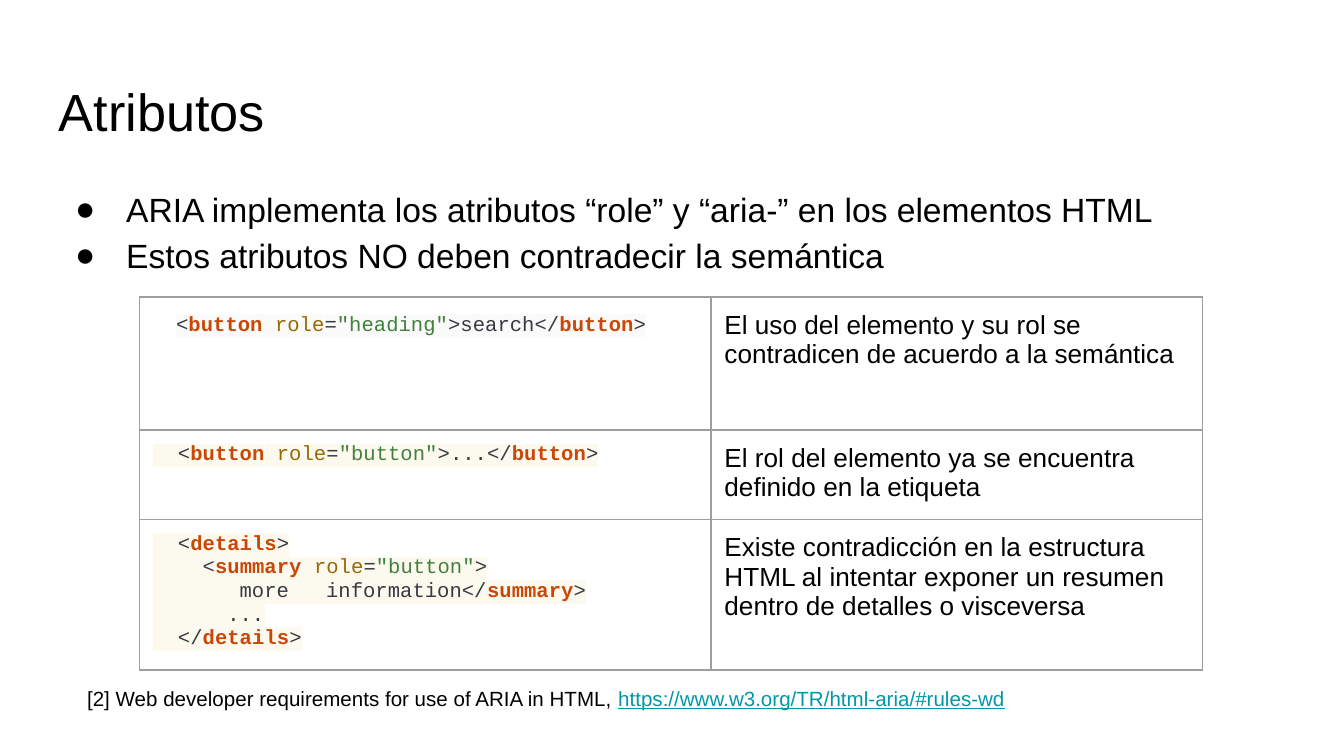
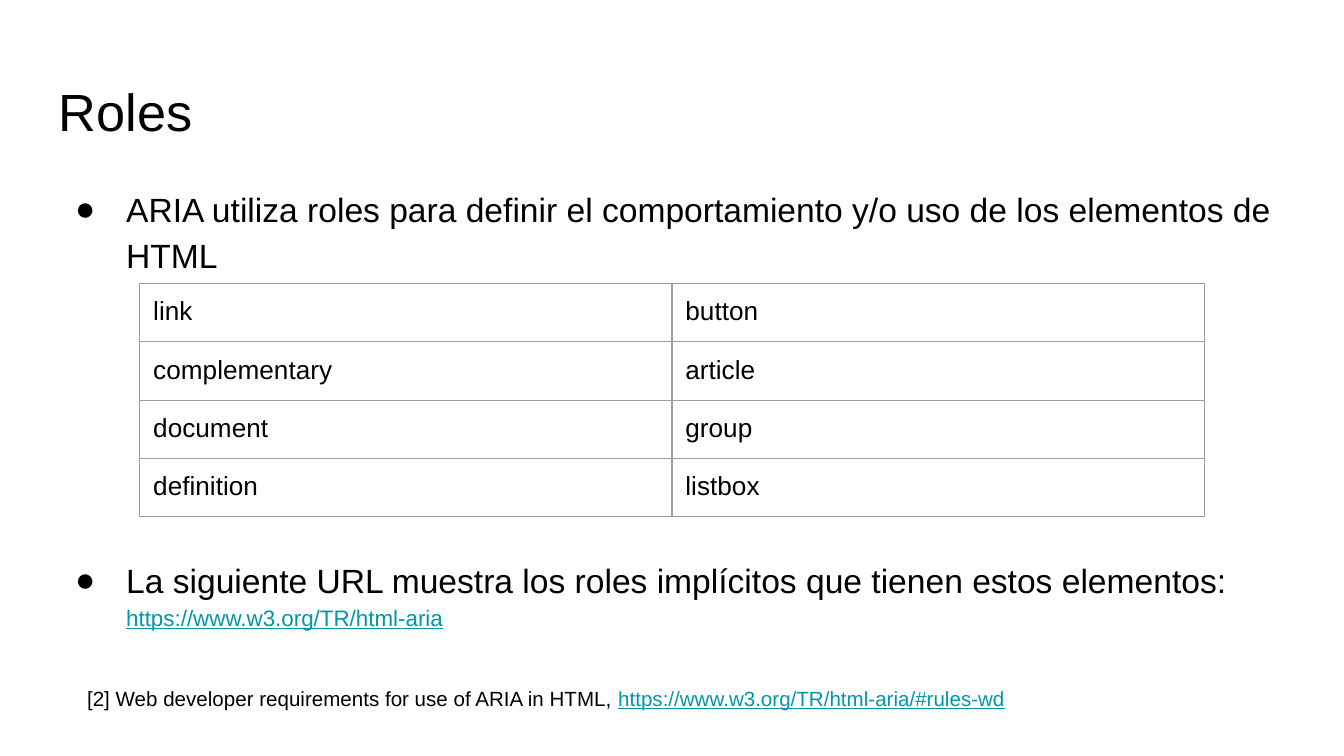
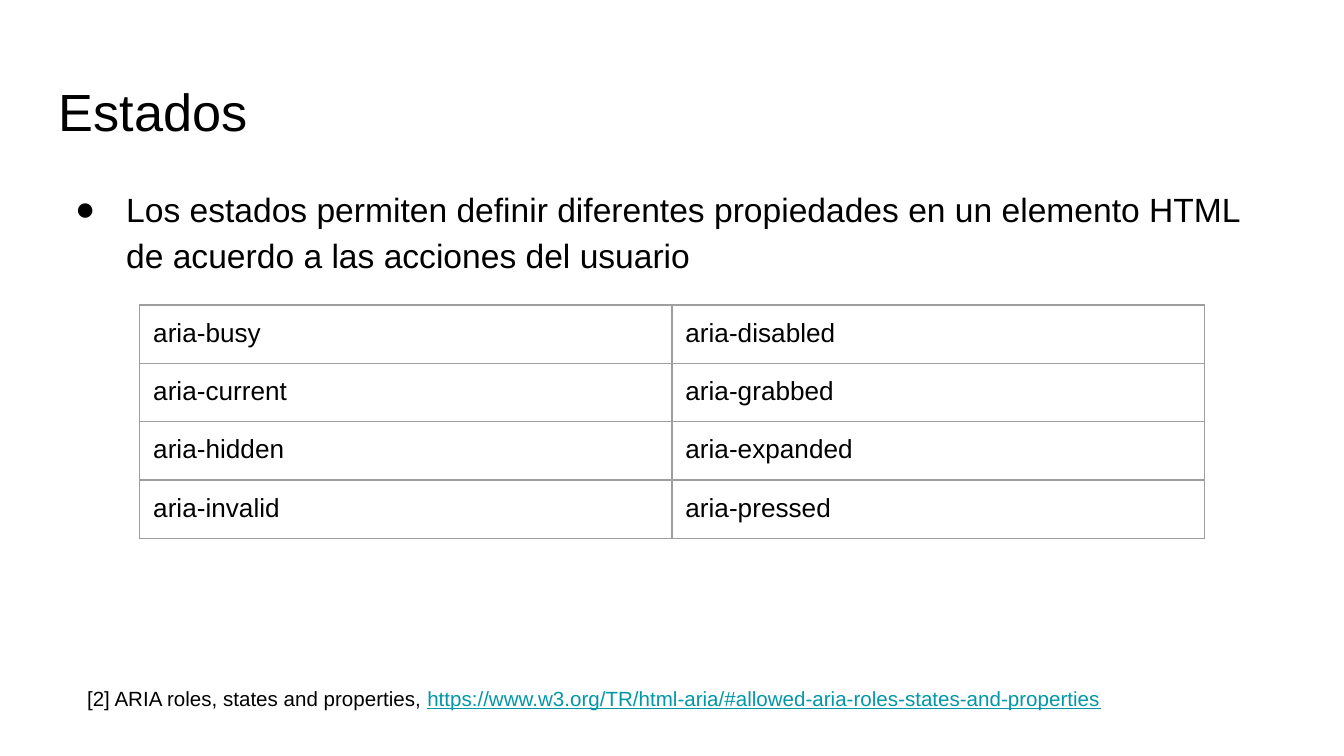
from dataclasses import dataclass

from lxml.etree import SubElement
from pptx import Presentation
from pptx.dml.color import RGBColor
from pptx.oxml import parse_xml
from pptx.oxml.ns import nsdecls, qn
from pptx.util import Emu, Inches, Pt


@dataclass(frozen=True)
class Theme:
    """Colours, fonts and type sizes of the deck."""
    ink: str = "000000"
    link: str = "0097A7"
    border: str = "9E9E9E"
    plain: str = "383A42"
    tag: str = "CA4706"
    attr: str = "986801"
    value: str = "42803C"
    pale: str = "FAFAFA"
    cream: str = "FCFAEE"
    font: str = "Arial"
    mono: str = "Courier New"
    title: int = 28
    body: int = 18
    cell: int = 14
    url: int = 12
    small: int = 11


T = Theme()
TITLE_BOX = (0.34, 0.49, 9.32, 0.63)
BODY_BOX = (0.34, 1.26, 9.32, 3.74)
FOOTER_BOX = (0.55, 5.01, 7.83, 0.59)
TABLE_X, TABLE_W, TABLE_SIDE = 1.04, 7.92, 3.28
ROW_H = 0.42
REQUIREMENTS = ("[2] Web developer requirements for use of ARIA in HTML, ",
                "https://www.w3.org/TR/html-aria/#rules-wd")
PROPERTIES = ("[2] ARIA roles, states and properties, ",
              "https://www.w3.org/TR/html-aria/#allowed-aria-roles-states-and-properties")


def set_format(obj, values):
    """Set each attribute of obj from a dict of format values."""
    for name, value in values.items():
        setattr(obj, name, value)


def add_run(p, text, size, color=T.ink, font=T.font, highlight=None, **extra):
    """Append a formatted run to a paragraph."""
    r = p.add_run()
    r.text = text
    set_format(r.font, {"size": Pt(size), "name": font, **extra})
    r.font.color.rgb = RGBColor.from_string(color)
    if highlight:
        mark = parse_xml(f'<a:highlight {nsdecls("a")}><a:srgbClr val="{highlight}"/></a:highlight>')
        r.font.fill._xPr.find(qn("a:solidFill")).addnext(mark)


def add_link(p, text, size):
    """Append an address in link style."""
    add_run(p, text, size, T.link, underline=True)


def set_indent(p, left, first=0):
    """Set the left and first-line indents of a paragraph."""
    pPr = p._p.get_or_add_pPr()
    pPr.set("marL", str(Inches(left)))
    pPr.set("indent", str(Inches(first)))
    return pPr


def set_margins(obj):
    """Give a text frame or cell equal margins."""
    set_format(obj, {f"margin_{side}": Inches(0.1) for side in ("left", "right", "top", "bottom")})


def add_text_frame(s, box):
    """Add a wrapping text box and return its frame."""
    tf = s.shapes.add_textbox(*map(Inches, box)).text_frame
    tf.word_wrap = True
    set_margins(tf)
    return tf


def add_title(s, text, box=TITLE_BOX):
    """Add the slide title."""
    add_run(add_text_frame(s, box).paragraphs[0], text, T.title)


def add_bullets(s, items, box=BODY_BOX):
    """Add bullets given as (text, address, space before)."""
    tf = add_text_frame(s, box)
    for i, (text, url, gap) in enumerate(items):
        p = tf.paragraphs[0] if i == 0 else tf.add_paragraph()
        set_format(p, {"line_spacing": 1.15, "space_before": Pt(gap)})
        pPr = set_indent(p, 0.5, -0.38)
        color = SubElement(pPr, qn("a:buClr"))
        SubElement(color, qn("a:srgbClr")).set("val", T.ink)
        SubElement(pPr, qn("a:buSzPct")).set("val", "100000")
        SubElement(pPr, qn("a:buFont")).set("typeface", T.font)
        SubElement(pPr, qn("a:buChar")).set("char", "●")
        add_run(p, text, T.body)
        if url:
            add_link(p, url, T.url)


def add_footer(s, source, box=FOOTER_BOX):
    """Add the reference line with its address."""
    p = add_text_frame(s, box).paragraphs[0]
    text, url = source
    add_run(p, text, T.small)
    add_link(p, url, T.small)


def style_cell(cell):
    """Give a cell its margins, clear fill and thin border."""
    set_margins(cell)
    cell.fill.background()
    tcPr = cell._tc.get_or_add_tcPr()
    for i, edge in enumerate(("lnL", "lnR", "lnT", "lnB")):
        tcPr.insert(i, parse_xml(
            f'<a:{edge} {nsdecls("a")} w="{Pt(0.75)}"><a:solidFill>'
            f'<a:srgbClr val="{T.border}"/></a:solidFill></a:{edge}>'))


def add_grid(s, top, widths, heights):
    """Add an unbanded bordered table whose rows grow with their text."""
    side = Inches(TABLE_SIDE)
    frame = s.shapes.add_table(len(heights), len(widths), Inches(TABLE_X), Inches(top), side, side)
    table = frame.table
    set_format(table, {"first_row": False, "horz_banding": False})
    for col, width in zip(table.columns, widths):
        col.width = Emu(Inches(width))
    for row, height in zip(table.rows, heights):
        row.height = Inches(height)
        for cell in row.cells:
            style_cell(cell)
    set_format(frame, {"width": side, "height": side})
    return table


def add_word_table(s, top, rows):
    """Add a table of equal columns and rows holding single words."""
    table = add_grid(s, top, [TABLE_W / 2] * 2, [ROW_H] * len(rows))
    for row, words in zip(table.rows, rows):
        for cell, word in zip(row.cells, words):
            add_run(cell.text_frame.paragraphs[0], word, T.cell)


def open_tag(name, role=None, lead=""):
    """Return the coloured tokens of an opening tag."""
    attribute = [(" ", T.plain), ("role", T.attr), ("=", T.plain),
                 (f'"{role}"', T.value)] if role else []
    return [(lead + "<", T.plain), (name, T.tag), *attribute, (">", T.plain)]


def close_tag(name, text=""):
    """Return the coloured tokens of text and a closing tag."""
    return [(text + "</", T.plain), (name, T.tag), (">", T.plain)]


def fill_code(cell, lines, highlight):
    """Write code lines given as lists of coloured tokens."""
    tf = cell.text_frame
    for i, tokens in enumerate(lines):
        p = tf.paragraphs[0] if i == 0 else tf.add_paragraph()
        for text, color in tokens:
            add_run(p, text, T.small, color, T.mono, highlight, bold=color == T.tag)


def add_code_table(s, top):
    """Add the table of misused roles and their explanations."""
    rows = [
        (0.99, T.pale, [open_tag("button", "heading") + close_tag("button", "search")],
         "El uso del elemento y su rol se contradicen de acuerdo a la semántica"),
        (ROW_H, T.cream, [open_tag("button", "button", "  ") + close_tag("button", "...")],
         "El rol del elemento ya se encuentra definido en la etiqueta"),
        (ROW_H, T.cream, [open_tag("details", lead="  "),
                          open_tag("summary", "button", "    "),
                          close_tag("summary", "       more   information"),
                          [("      ...", T.plain)],
                          close_tag("details", "  ")],
         "Existe contradicción en la estructura HTML al intentar exponer un resumen "
         "dentro de detalles o visceversa"),
    ]
    table = add_grid(s, top, [4.25, 3.66], [row[0] for row in rows])
    for row, (_, highlight, lines, note) in zip(table.rows, rows):
        code, text = row.cells
        fill_code(code, lines, highlight)
        add_run(text.text_frame.paragraphs[0], note, T.cell)
    p = table.cell(0, 0).text_frame.paragraphs[0]
    set_indent(p, 0.17)
    set_format(p, {"line_spacing": 1.15, "space_before": Pt(21), "space_after": Pt(21)})


def add_slide(prs, title, bullets, source):
    """Add a slide with title, bullets and footer."""
    s = prs.slides.add_slide(prs.slide_layouts[6])
    add_title(s, title)
    add_bullets(s, bullets)
    add_footer(s, source)
    return s


def main():
    """Build and save the deck."""
    prs = Presentation()
    set_format(prs, {"slide_width": Inches(10), "slide_height": Inches(10 * 9 / 16)})

    s = add_slide(prs, "Atributos", [
        ("ARIA implementa los atributos “role” y “aria-” en los elementos HTML", None, 0),
        ("Estos atributos NO deben contradecir la semántica", None, 0)], REQUIREMENTS)
    add_code_table(s, 2.21)

    s = add_slide(prs, "Roles", [
        ("ARIA utiliza roles para definir el comportamiento y/o uso de los elementos de HTML",
         None, 0),
        ("La siguiente URL muestra los roles implícitos que tienen estos elementos: ",
         "https://www.w3.org/TR/html-aria", 149)], REQUIREMENTS)
    add_word_table(s, 2.11, [("link", "button"), ("complementary", "article"),
                             ("document", "group"), ("definition", "listbox")])

    s = add_slide(prs, "Estados", [
        ("Los estados permiten definir diferentes propiedades en un elemento HTML "
         "de acuerdo a las acciones del usuario", None, 0)], PROPERTIES)
    add_word_table(s, 2.27, [("aria-busy", "aria-disabled"), ("aria-current", "aria-grabbed"),
                             ("aria-hidden", "aria-expanded"), ("aria-invalid", "aria-pressed")])

    prs.save("out.pptx")


if __name__ == "__main__":
    main()
